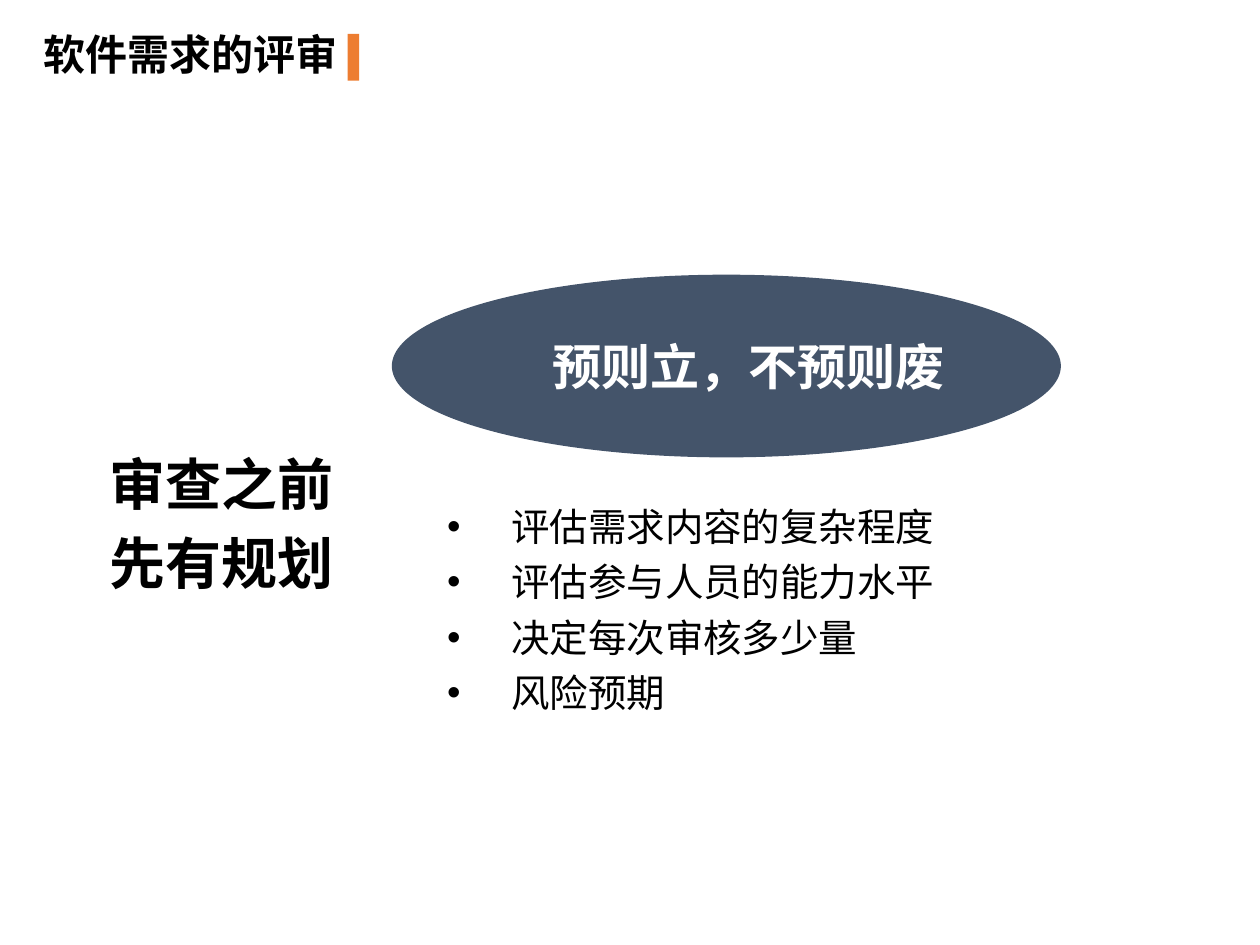
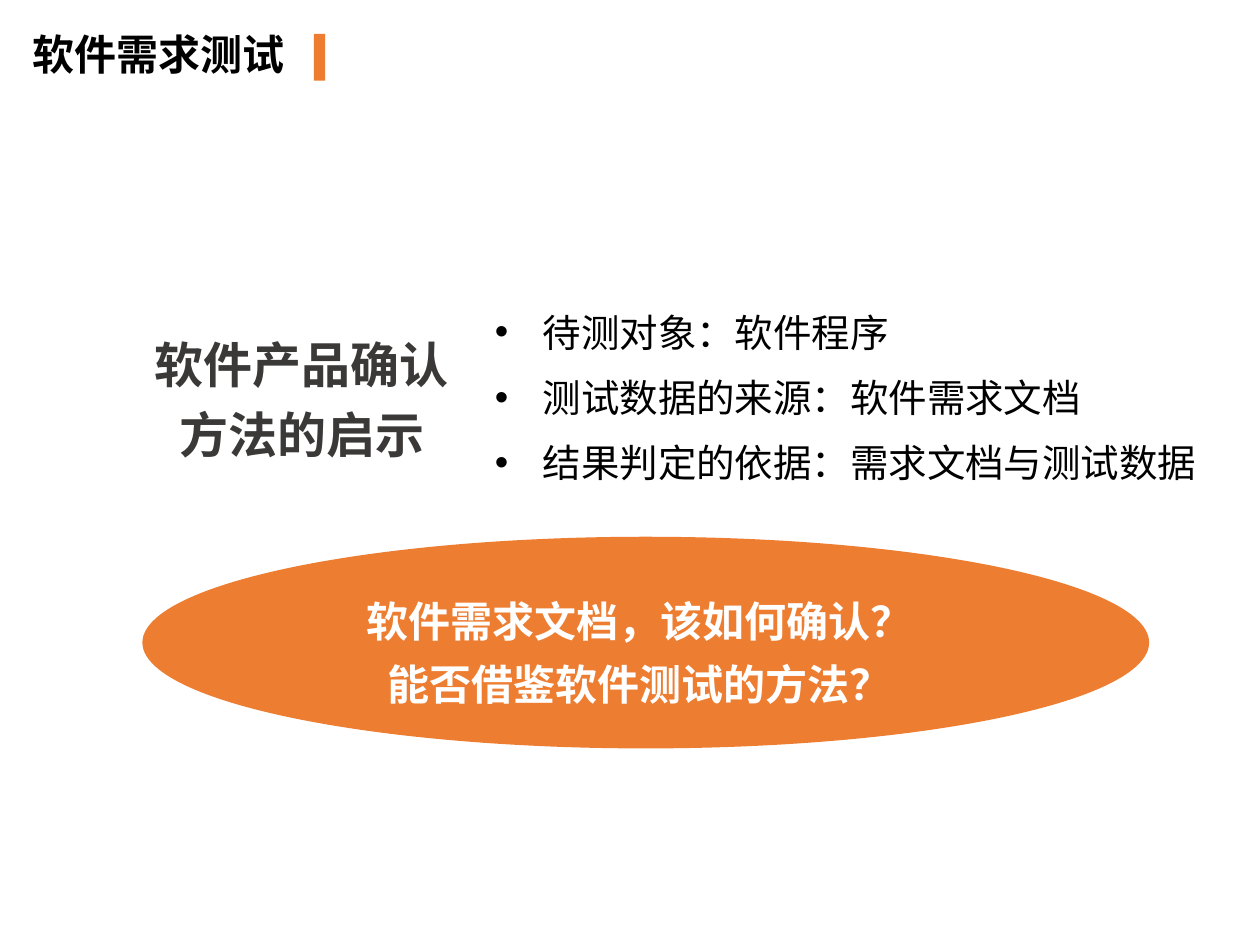
from dataclasses import dataclass
from typing import NamedTuple

from lxml.etree import SubElement as Sub
from pptx import Presentation
from pptx.dml.color import RGBColor as Rgb
from pptx.enum.shapes import MSO_SHAPE as Form
from pptx.enum.text import PP_ALIGN as Align
from pptx.oxml.ns import qn
from pptx.util import Inches, Pt

FONT = "Noto Sans CJK SC"
HUES = {"ink": "000000", "slate": "44546A", "orange": "ED7D31",
        "white": "FFFFFF", "gray": "3B3838"}

# Grid of 100 columns by 75 rows on a 10 by 7.5 inch slide
COLS, ROWS = 100, 75
WIDE, HIGH = Inches(10), Inches(7.5)


class Area(NamedTuple):
    col: float
    row: float
    cols: float
    rows: float

    def box(self) -> tuple[int, ...]:
        x, y = WIDE / COLS, HIGH / ROWS
        return (int(self.col * x), int(self.row * y),
                int(self.cols * x), int(self.rows * y))


@dataclass
class Title:
    text: str
    cols: float
    bar: float
    align: Align = Align.LEFT


@dataclass
class Oval:
    area: Area
    hue: str


def add_form(slide, kind: Form, area: Area, hue: str) -> None:
    shape = slide.shapes.add_shape(kind, *area.box())
    shape.shadow.inherit = False
    shape.fill.solid()
    shape.fill.fore_color.rgb = Rgb.from_string(HUES[hue])
    shape.line.fill.background()


def add_text(slide, area: Area, *lines: str, size: float = 24, hue: str = "ink",
             bold: bool = True, align: Align = Align.LEFT, wrap: bool = True,
             lead: float = 1, gap: float = 0, after: float = 0,
             dent: float = 0) -> None:
    """Draw one paragraph per line; a dent in inches makes them bullets."""
    frame = slide.shapes.add_textbox(*area.box()).text_frame
    frame.word_wrap = wrap
    for i, line in enumerate(lines):
        para = frame.add_paragraph() if i else frame.paragraphs[0]
        para.alignment = align
        para.line_spacing = lead
        para.space_before = Pt(gap if i else 0)
        para.space_after = Pt(after)
        if dent:
            props = para._p.get_or_add_pPr()
            props.set("marL", str(Inches(dent)))
            props.set("indent", str(-Inches(dent)))
            Sub(props, qn("a:buFont"), typeface="Arial")
            Sub(props, qn("a:buChar"), char="•")
        run = para.add_run()
        run.text = line
        font = run.font
        font.size, font.bold, font.name = Pt(size), bold, FONT
        font.color.rgb = Rgb.from_string(HUES[hue])
        Sub(run._r.get_or_add_rPr(), qn("a:ea"), typeface=FONT)


def add_list(slide, area: Area, *lines: str, **form) -> None:
    add_text(slide, area, *lines, size=22, bold=False, align=Align.JUSTIFY, **form)


def add_page(deck, title: Title, oval: Oval):
    """Start a slide with its oval, title and orange bar."""
    slide = deck.slides.add_slide(deck.slide_layouts[6])
    add_form(slide, Form.OVAL, oval.area, oval.hue)
    add_text(slide, Area(1.6, 1.8, title.cols, 5), title.text, align=title.align)
    add_form(slide, Form.RECTANGLE, Area(title.bar, 2.7, 0.9, 3.7), "orange")
    return slide


def main() -> None:
    deck = Presentation()
    deck.slide_width, deck.slide_height = WIDE, HIGH

    # Review: plan first
    slide = add_page(deck, Title("软件需求的评审", 27.1, 27.6, Align.CENTER),
                     Oval(Area(31.1, 21.8, 53.1, 14.5), "slate"))
    add_list(slide, Area(34.5, 38.7, 49.8, 18.8),
             "评估需求内容的复杂程度", "评估参与人员的能力水平",
             "决定每次审核多少量", "风险预期", lead=1.2, dent=0.51)
    add_text(slide, Area(7.7, 35.2, 20, 12.9), "审查之前", "先有规划",
             size=32, wrap=False, gap=6.4)
    add_text(slide, Area(42.7, 26.2, 33.4, 5.7), "预则立，不预则废",
             size=28, hue="white", align=Align.CENTER, wrap=False)

    # Testing: lessons from product checks
    slide = add_page(deck, Title("软件需求测试", 23, 24.9),
                     Oval(Area(11.3, 42.6, 79.9, 16.8), "orange"))
    add_list(slide, Area(38.3, 22.9, 60.3, 16.3),
             "待测对象：软件程序", "测试数据的来源：软件需求文档",
             "结果判定的依据：需求文档与测试数据", lead=1.3, after=3, dent=0.38)
    add_text(slide, Area(14.2, 45.8, 73.1, 10.6),
             "软件需求文档，该如何确认？", "能否借鉴软件测试的方法？",
             hue="white", align=Align.CENTER, lead=1.25)
    add_text(slide, Area(10.6, 25.1, 26.7, 11.8), "软件产品确认方法的启示",
             size=28, hue="gray", align=Align.CENTER, lead=1.2, after=3)

    deck.save("out.pptx")


if __name__ == "__main__":
    main()
